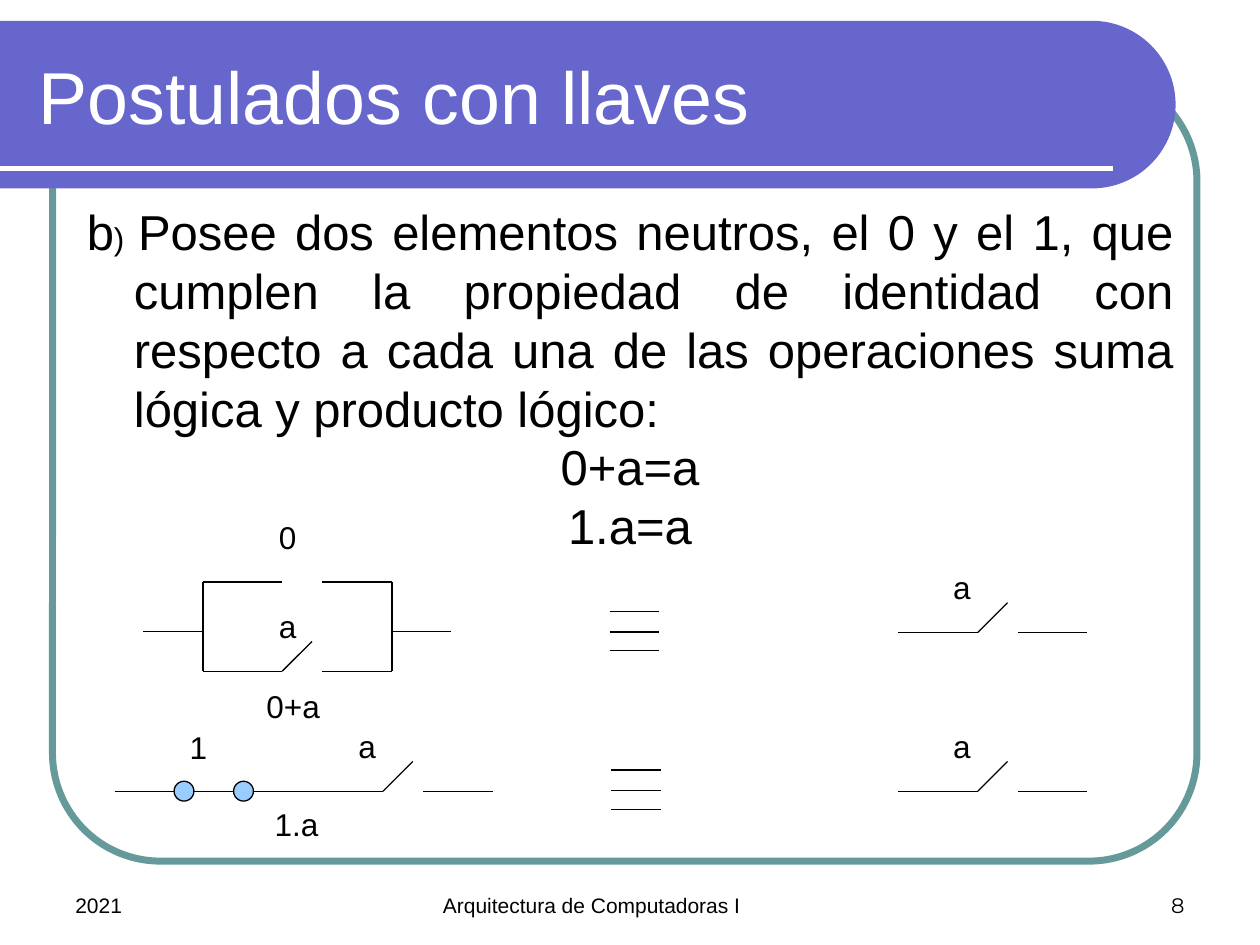
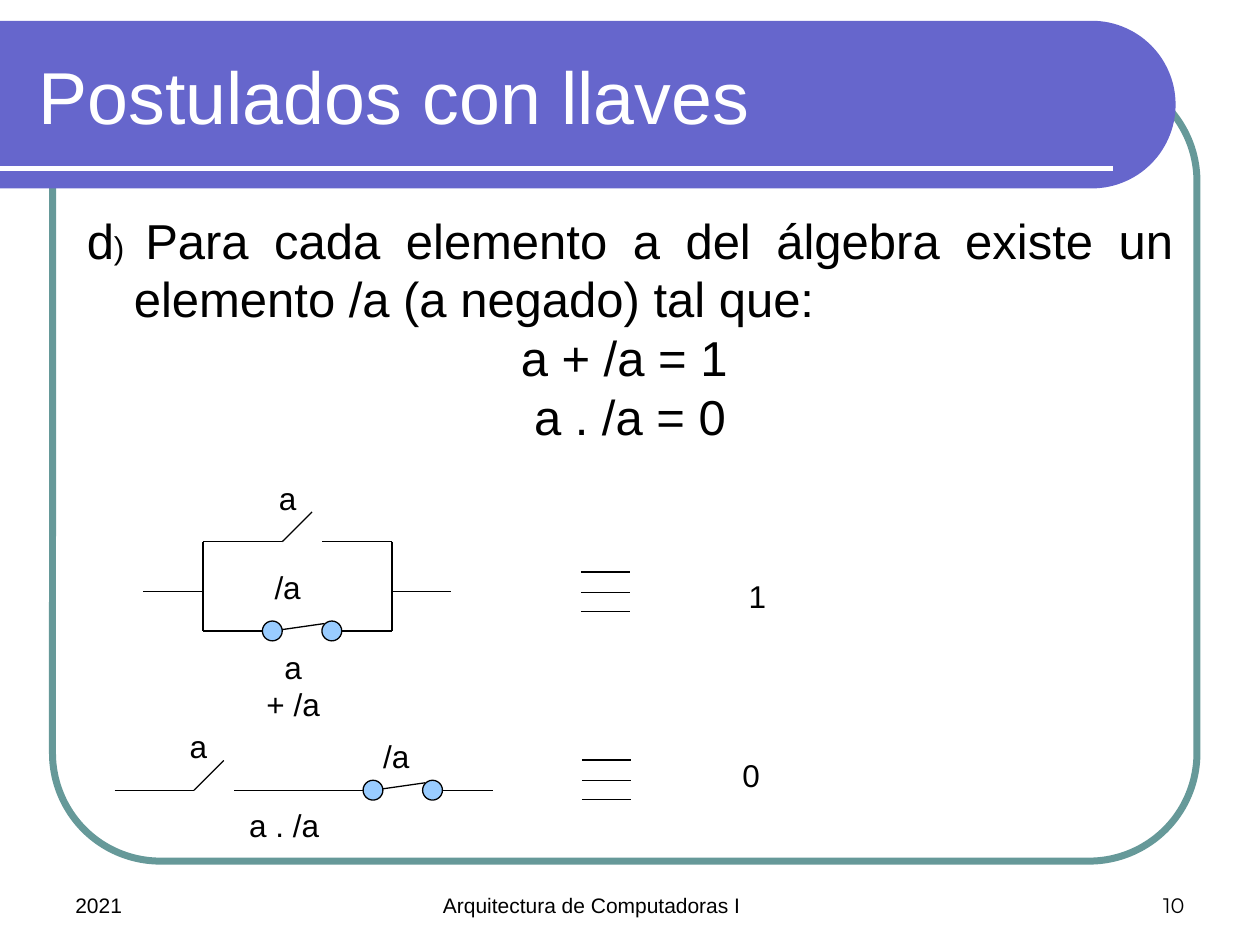
import math

import pptx
import pptx.dml.color
import pptx.enum.shapes
import pptx.enum.text
import pptx.oxml
import pptx.util

Cm, Pt = pptx.util.Cm, pptx.util.Pt
SHAPE = pptx.enum.shapes.MSO_SHAPE
ALIGN = pptx.enum.text.PP_ALIGN
ANCHOR = pptx.enum.text.MSO_ANCHOR

TITLE = "Postulados con llaves"
YEAR = "2021"
COURSE = "Arquitectura de Computadoras I"
BLACK, WHITE, BAND, FRAME, CONTACT = "000000", "FFFFFF", "6666CC", "669999", "99CCFF"

SLIDES = [
    {
        "number": "8",
        "body_box": (3.94, 7.44),
        "letter": "b",
        "statement": "Posee dos elementos neutros, el 0 y el 1, que cumplen la propiedad de identidad "
                     "con respecto a cada una de las operaciones suma lógica y producto lógico:",
        "formulas": [("0+a=a", ALIGN.CENTER, 0), ("1.a=a", ALIGN.CENTER, 0)],
        "parallel": (11.73, "gap", "open"),
        "series": (15.95, "closed", "open"),
        "results": [(18.11, 12.75), (18.11, 15.95)],
        "equivalences": [(12.29, 12.32), (12.32, 15.52)],
        "labels": [("0", 5.8, 10.31), ("a", 5.8, 12.12), ("0+a", 5.91, 13.72), ("a", 19.39, 11.33),
                   ("1", 4, 14.55), ("a", 7.4, 14.53), ("1.a", 5.98, 16.1), ("a", 19.39, 14.53)],
    },
    {
        "number": "10",
        "body_box": (4.11, 5.05),
        "letter": "d",
        "statement": "Para cada elemento a del álgebra existe un elemento /a (a negado) tal que:",
        "formulas": [("a + /a = 1", ALIGN.LEFT, 8.75), ("a . /a = 0", ALIGN.CENTER, 0)],
        "parallel": (10.92, "open", "tilted"),
        "series": (15.93, "open", "tilted"),
        "results": [],
        "equivalences": [(11.71, 11.53), (11.73, 15.32)],
        "labels": [("a", 5.8, 9.53), ("/a", 5.8, 11.33), ("a + /a", 5.91, 12.93), ("a", 4, 14.53),
                   ("/a", 7.99, 14.73), ("1", 15.27, 11.51), ("0", 15.14, 15.11),
                   ("a . /a", 5.73, 16.13)],
    },
]

SWITCH_W = 3.81
LEAD = 1.2
DOT = 0.4
PARALLEL_X, PARALLEL_H = 4.09, 1.8
SERIES_X = 2.31


def rgb(color):
    return pptx.dml.color.RGBColor.from_string(color)


def set_font(font, size, color=BLACK, name="Arial"):
    font.size, font.name, font.color.rgb = Pt(size), name, rgb(color)


def add_line(s, x1, y1, x2, y2, color=BLACK, width=0.75):
    c = s.shapes.add_connector(pptx.enum.shapes.MSO_CONNECTOR.STRAIGHT, Cm(x1), Cm(y1), Cm(x2), Cm(y2))
    c.line.color.rgb, c.line.width = rgb(color), Pt(width)
    c._element.spPr.append(pptx.oxml.parse_xml(
        '<a:effectLst xmlns:a="http://schemas.openxmlformats.org/drawingml/2006/main"/>'))


def style(sp, fill=None, line=None, width=0.75):
    sp.shadow.inherit = False
    if fill:
        sp.fill.solid()
        sp.fill.fore_color.rgb = rgb(fill)
    else:
        sp.fill.background()
    if line:
        sp.line.color.rgb, sp.line.width = rgb(line), Pt(width)
    else:
        sp.line.fill.background()


def add_box(s, x, y, w, h, anchor=ANCHOR.TOP, wrap=True):
    tf = s.shapes.add_textbox(Cm(x), Cm(y), Cm(w), Cm(h)).text_frame
    tf.word_wrap, tf.vertical_anchor = wrap, anchor
    return tf


def add_text(s, text, x, y, w, h, size, color=BLACK, name="Arial",
             align=ALIGN.LEFT, anchor=ANCHOR.TOP, wrap=True):
    p = add_box(s, x, y, w, h, anchor, wrap).paragraphs[0]
    p.text, p.alignment = text, align
    set_font(p.font, size, color, name)


def add_background(s, number):
    sp = s.shapes.add_shape(SHAPE.ROUNDED_RECTANGLE, Cm(1.06), Cm(1.48), Cm(23.07), Cm(15.88))
    sp.adjustments[0] = 0.137
    style(sp, line=FRAME, width=4)

    top, radius, bend = 0.42, 1.69, 22.01
    angles = [math.radians(a) for a in range(-90, 91, 3)]
    arc = [(Cm(bend + radius * math.cos(a)), Cm(top + radius + radius * math.sin(a))) for a in angles]
    outline = s.shapes.build_freeform(0, Cm(top))
    outline.add_line_segments(arc + [(0, Cm(top + 2 * radius))], close=True)
    style(outline.convert_to_shape(), fill=BAND)
    add_line(s, 0, 3.39, 22.44, 3.39, WHITE, 3)

    add_text(s, TITLE, 0.53, 0.64, 17.36, 2.54, 42, WHITE, anchor=ANCHOR.MIDDLE)
    footers = [(number, 18.2, 5.93, "Montserrat", ALIGN.RIGHT),
               (COURSE, 8.68, 8.04, "Arial", ALIGN.LEFT),
               (YEAR, 1.27, 5.93, "Arial", ALIGN.LEFT)]
    for text, x, w, name, align in footers:
        add_text(s, text, x, 17.36, w, 1.27, 12, name=name, align=align, anchor=ANCHOR.BOTTOM)


def add_body(s, content):
    top, height = content["body_box"]
    tf = add_box(s, 1.5, top, 22.4, height)
    p = tf.paragraphs[0]
    p.alignment = ALIGN.JUSTIFY
    pPr = p._p.get_or_add_pPr()
    pPr.set("marL", str(Cm(0.95)))
    pPr.set("indent", str(-Cm(0.95)))
    for text, size in [(content["letter"], 28), (") ", 18), (content["statement"], 28)]:
        r = p.add_run()
        r.text = text
        set_font(r.font, size)
    for text, align, margin in content["formulas"]:
        p = tf.add_paragraph()
        p.text, p.alignment = text, align
        p._p.get_or_add_pPr().set("marL", str(Cm(margin)))
        set_font(p.font, 28)


def add_switch(s, kind, x, y):
    end = x + SWITCH_W
    if kind in ("gap", "open"):
        add_line(s, x, y, x + 1.6, y)
        add_line(s, x + 2.41, y, end, y)
        if kind == "open":
            add_line(s, x + 1.6, y, x + 2.2, y - 0.6)
        return
    first, second = x + LEAD + DOT / 2, x + 2 * LEAD + DOT / 2
    add_line(s, x, y, x + LEAD, y)
    add_line(s, second + DOT / 2, y, end, y)
    if kind == "tilted":
        add_line(s, first, y, second - 0.15, y - 0.15)
    else:
        add_line(s, first, y, second, y)
    for cx in (first, second):
        dot = s.shapes.add_shape(SHAPE.OVAL, Cm(cx - DOT / 2), Cm(y - DOT / 2), Cm(DOT), Cm(DOT))
        style(dot, CONTACT, BLACK)


def add_parallel(s, top, upper, lower):
    left, right = PARALLEL_X, PARALLEL_X + SWITCH_W
    bottom, middle = top + PARALLEL_H, top + 1
    for x, outer in ((left, left - LEAD), (right, right + LEAD)):
        add_line(s, x, top, x, bottom)
        add_line(s, x, middle, outer, middle)
    add_switch(s, upper, left, top)
    add_switch(s, lower, left, bottom)


def add_circuits(s, content):
    add_parallel(s, *content["parallel"])
    y, *kinds = content["series"]
    for i, kind in enumerate(kinds):
        add_switch(s, kind, SERIES_X + i * SWITCH_W, y)
    for x, y in content["results"]:
        add_switch(s, "open", x, y)
    for x, y in content["equivalences"]:
        for dy in (0, 0.42, 0.8):
            add_line(s, x, y + dy, x + 1, y + dy)
    for text, cx, y in content["labels"]:
        w = 1.4 if len(text) < 3 else 2.1
        add_text(s, text, cx - w / 2, y, w, 1.02, 18, align=ALIGN.CENTER, wrap=False)


def main():
    prs = pptx.Presentation()
    prs.slide_width, prs.slide_height = Cm(25.4), Cm(19.05)
    for content in SLIDES:
        s = prs.slides.add_slide(prs.slide_layouts[6])
        add_background(s, content["number"])
        add_body(s, content)
        add_circuits(s, content)
    prs.save("out.pptx")


if __name__ == "__main__":
    main()
